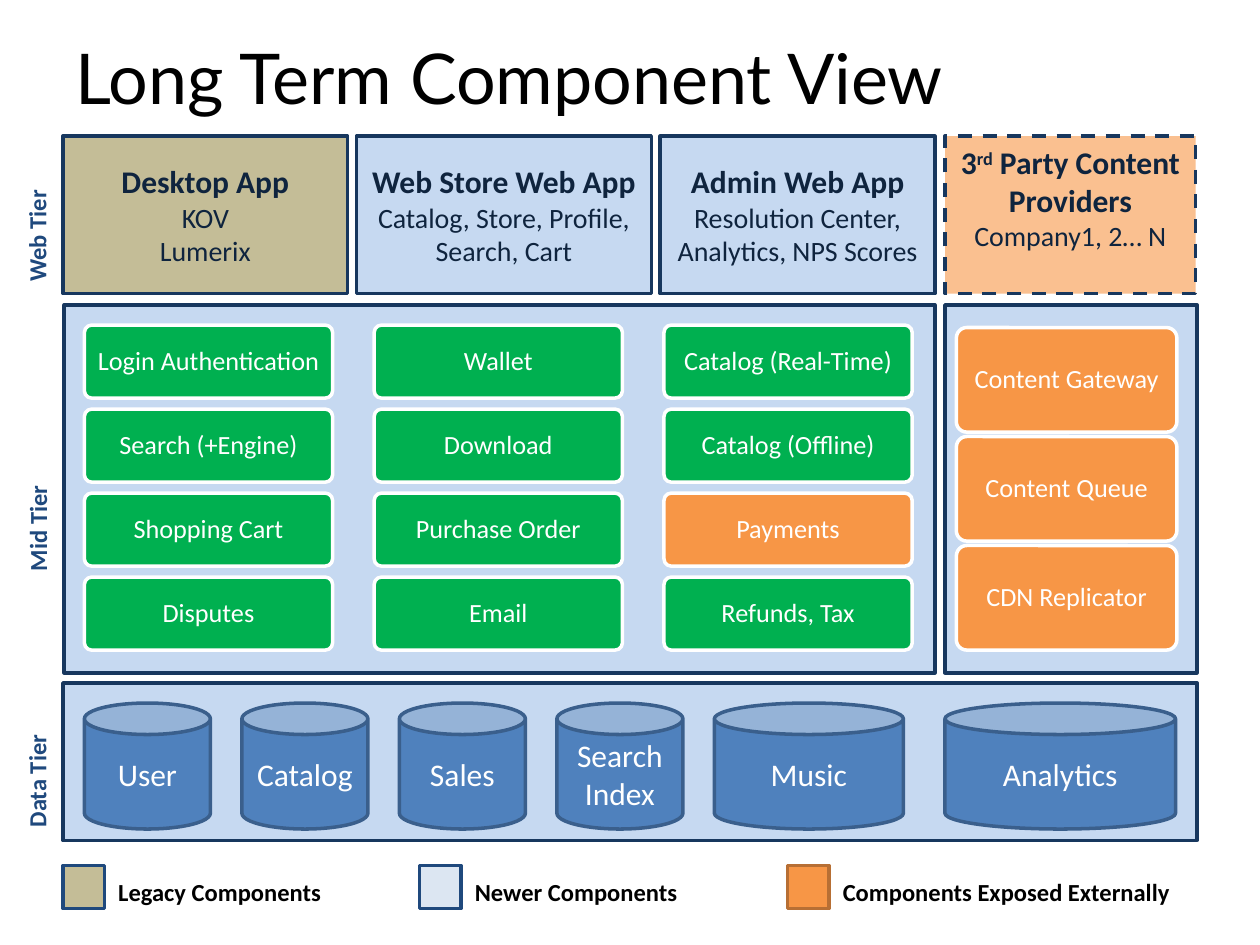
from pptx import Presentation
from pptx.dml.color import RGBColor
from pptx.enum.dml import MSO_LINE
from pptx.enum.shapes import MSO_SHAPE
from pptx.enum.text import MSO_ANCHOR, MSO_AUTO_SIZE, PP_ALIGN
from pptx.util import Inches, Pt

BLACK = RGBColor(0x00, 0x00, 0x00)
WHITE = RGBColor(0xFF, 0xFF, 0xFF)
INK = RGBColor(0x0F, 0x24, 0x3E)
NAVY = RGBColor(0x17, 0x37, 0x5E)
BLUE = RGBColor(0x1F, 0x49, 0x7D)
PALE_BLUE = RGBColor(0xC6, 0xD9, 0xF1)
KEY_BLUE = RGBColor(0xDC, 0xE6, 0xF2)
TAN = RGBColor(0xC4, 0xBD, 0x97)
PEACH = RGBColor(0xFA, 0xC0, 0x90)
GREEN = RGBColor(0x00, 0xB0, 0x50)
ORANGE = RGBColor(0xF7, 0x96, 0x46)
DARK_ORANGE = RGBColor(0xB7, 0x6F, 0x34)
STORE_BLUE = RGBColor(0x4F, 0x81, 0xBD)
STORE_LINE = RGBColor(0x3A, 0x5F, 0x8C)


class ComponentSlide:
    """Holds the slide and the shared style."""

    font_name = "Calibri"
    line_width = Pt(2)

    def __init__(self, slide):
        self.slide = slide

    def set_format(self, target, values):
        for name, value in values.items():
            setattr(target, name, value)

    def add_run(self, paragraph, text, size, color, bold=False, font_name=None):
        run = paragraph.add_run()
        run.text = text
        self.set_format(run.font, {
            "name": font_name or self.font_name, "size": Pt(size), "bold": bold})
        run.font.color.rgb = color
        return run

    def title(self, text):
        title = self.slide.shapes.title
        self.set_format(title, {
            "left": Inches(0.5), "top": Inches(0.3),
            "width": Inches(9), "height": Inches(0.62)})
        self.set_format(title.text_frame, {
            "vertical_anchor": MSO_ANCHOR.MIDDLE, "auto_size": MSO_AUTO_SIZE.NONE})
        paragraph = title.text_frame.paragraphs[0]
        paragraph.alignment = PP_ALIGN.LEFT
        self.add_run(paragraph, text, 40, BLACK, font_name="Lato")

    def box(self, left, top, width, height, fill, line=NAVY, kind=MSO_SHAPE.RECTANGLE):
        shape = self.slide.shapes.add_shape(
            kind, Inches(left), Inches(top), Inches(width), Inches(height))
        shape.shadow.inherit = False
        shape.fill.solid()
        shape.fill.fore_color.rgb = fill
        shape.line.color.rgb = line
        shape.line.width = self.line_width
        self.set_format(shape.text_frame, {
            "word_wrap": True, "vertical_anchor": MSO_ANCHOR.MIDDLE})
        shape.text_frame.paragraphs[0].alignment = PP_ALIGN.CENTER
        return shape

    def app(self, left, width, fill, heading, details):
        """A web tier box; heading is a list of (text, is superscript)."""
        shape = self.box(left, 1.08, width, 1.25, fill)
        for text, superscript in heading:
            run = self.add_run(shape.text_frame.paragraphs[0], text, 18, INK, True)
            if superscript:
                run.font._element.set("baseline", "30000")
        for detail in details:
            paragraph = shape.text_frame.add_paragraph()
            paragraph.alignment = PP_ALIGN.CENTER
            self.add_run(paragraph, detail, 16, INK)
        return shape

    def service(self, left, top, width, height, text, fill):
        shape = self.box(left, top, width, height, fill, WHITE,
                         MSO_SHAPE.ROUNDED_RECTANGLE)
        shape.adjustments[0] = 0.1
        margins = ("margin_left", "margin_right", "margin_top", "margin_bottom")
        self.set_format(shape.text_frame, dict.fromkeys(margins, Inches(0.06)))
        paragraph = shape.text_frame.paragraphs[0]
        paragraph.line_spacing = 0.9
        self.add_run(paragraph, text, 15, WHITE)

    def store(self, left, width, text):
        shape = self.box(left, 5.58, width, 1, STORE_BLUE, STORE_LINE, MSO_SHAPE.CAN)
        self.add_run(shape.text_frame.paragraphs[0], text, 18, WHITE)

    def label(self, left, top, width, text, color, rotation=0):
        box = self.slide.shapes.add_textbox(
            Inches(left), Inches(top), Inches(width), Inches(0.34))
        box.rotation = rotation
        self.set_format(box.text_frame, {
            "word_wrap": True, "auto_size": MSO_AUTO_SIZE.SHAPE_TO_FIT_TEXT})
        self.add_run(box.text_frame.paragraphs[0], text, 14, color, True)

    def key(self, left, width, text, fill, line):
        self.box(left, 6.87, 0.33, 0.34, fill, line)
        self.label(left + 0.34, 6.91, width, text, BLACK)


def main():
    presentation = Presentation()
    presentation.slide_width = Inches(10)
    presentation.slide_height = Inches(7.5)
    view = ComponentSlide(
        presentation.slides.add_slide(presentation.slide_layouts[5]))
    view.title("Long Term Component View")

    # Tier names
    for left, top, width, text in (
            (-0.33, 1.54, 1.25, "Web Tier"),
            (-0.45, 3.71, 1.5, "Mid Tier"),
            (-0.33, 5.87, 1.25, "Data Tier")):
        view.label(left, top, width, text, BLUE, 270)

    # Web tier
    view.app(0.5, 2.26, TAN, [("Desktop App", False)], ["KOV", "Lumerix"])
    view.app(2.83, 2.34, PALE_BLUE, [("Web Store Web App", False)],
             ["Catalog, Store, Profile, Search, Cart"])
    view.app(5.24, 2.18, PALE_BLUE, [("Admin Web App", False)],
             ["Resolution Center, Analytics, NPS Scores"])
    providers = view.app(
        7.5, 1.99, PEACH,
        [("3", False), ("rd", True), (" Party Content Providers", False)],
        ["Company1, 2… N"])
    providers.line.dash_style = MSO_LINE.DASH
    providers.text_frame.margin_bottom = Inches(0.32)

    # Mid tier: internal services in a grid
    view.box(0.51, 2.42, 6.91, 2.92, PALE_BLUE)
    services = (
        ("Login Authentication", "Search (+Engine)", "Shopping Cart", "Disputes"),
        ("Wallet", "Download", "Purchase Order", "Email"),
        ("Catalog (Real-Time)", "Catalog (Offline)", "Payments", "Refunds, Tax"))
    for column, names in enumerate(services):
        for row, name in enumerate(names):
            fill = ORANGE if name == "Payments" else GREEN
            view.service(0.67 + 2.3 * column, 2.58 + 2 / 3 * row,
                         1.97, 0.58, name, fill)

    # Mid tier: content services
    view.box(7.5, 2.42, 2, 2.92, PALE_BLUE)
    for row, name in enumerate(("Content Gateway", "Content Queue", "CDN Replicator")):
        view.service(7.59, 2.6 + 0.865 * row, 1.75, 0.83, name, ORANGE)

    # Data tier
    view.box(0.5, 5.42, 9, 1.25, PALE_BLUE)
    for column, name in enumerate(("User", "Catalog", "Sales", "Search Index")):
        view.store(0.67 + 1.25 * column, 1, name)
    view.store(5.67, 1.5, "Music")
    view.store(7.5, 1.83, "Analytics")

    # Legend
    view.key(0.5, 2.5, "Legacy Components", TAN, BLUE)
    view.key(3.33, 2.5, "Newer Components", KEY_BLUE, BLUE)
    view.key(6.25, 2.91, "Components Exposed Externally", ORANGE, DARK_ORANGE)

    presentation.save("out.pptx")


if __name__ == "__main__":
    main()
